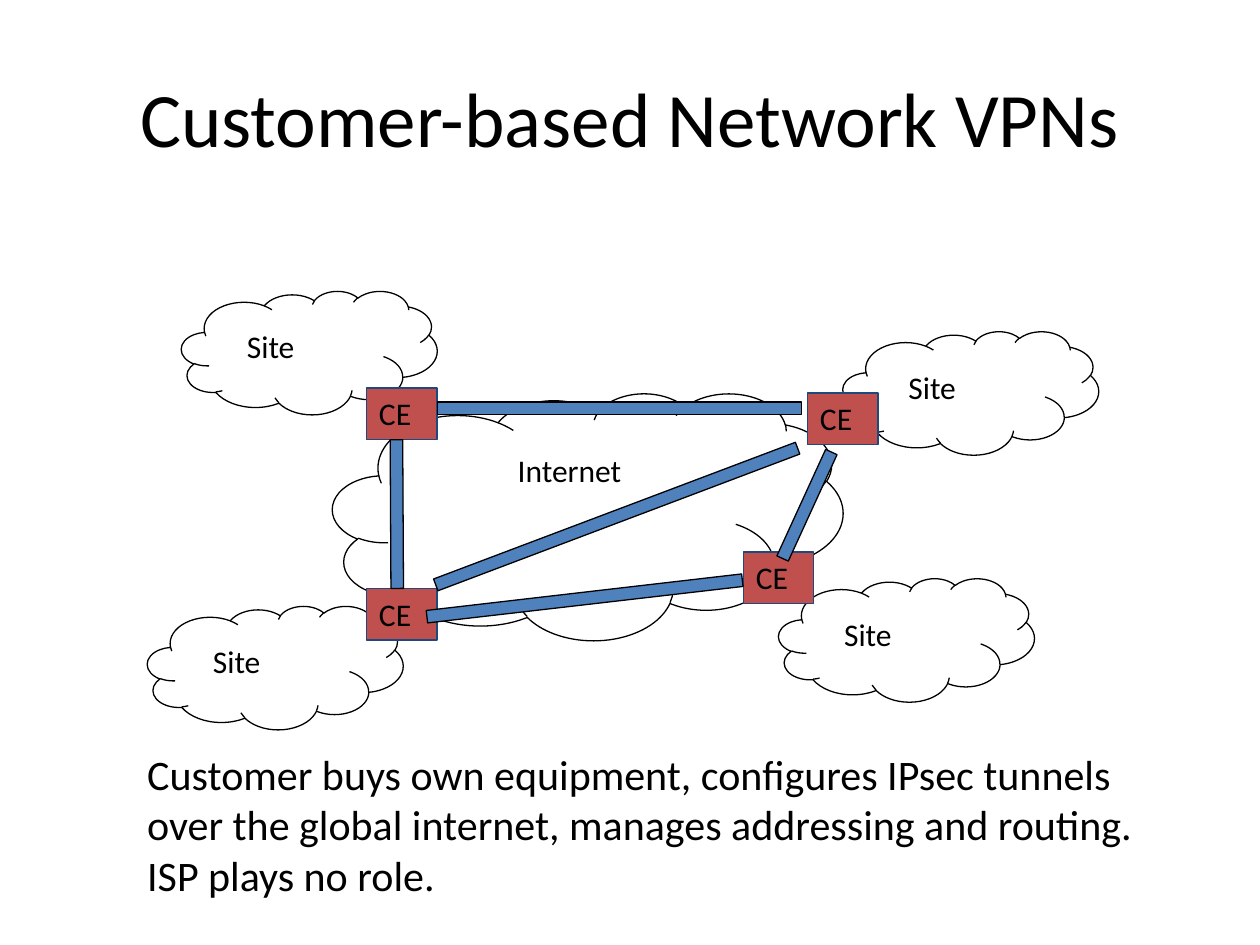
from pptx import Presentation
from pptx.dml.color import RGBColor
from pptx.enum.shapes import MSO_SHAPE
from pptx.enum.text import MSO_ANCHOR, PP_ALIGN
from pptx.util import Inches, Pt

BLACK = RGBColor(0x00, 0x00, 0x00)
RED = RGBColor(0xC0, 0x50, 0x4D)
NAVY = RGBColor(0x1F, 0x49, 0x7D)
BLUE = RGBColor(0x4F, 0x81, 0xBD)


class NetworkSlide:
    """Draws the parts of a network diagram in one style."""

    font = "Calibri"
    label_size = 18
    line_width = 0.75

    def __init__(self, prs):
        self.slide = prs.slides.add_slide(prs.slide_layouts[5])

    def set_text(self, shape, text, size, align=PP_ALIGN.LEFT,
                 anchor=MSO_ANCHOR.TOP, wrap=True, left=0.1, top=0.05):
        frame = shape.text_frame
        frame.word_wrap = wrap
        frame.vertical_anchor = anchor
        frame.margin_left, frame.margin_top = Inches(left), Inches(top)
        paragraph = frame.paragraphs[0]
        paragraph.alignment = align
        run = paragraph.add_run()
        run.text = text
        run.font.name, run.font.size = self.font, Pt(size)
        run.font.color.rgb = BLACK

    def title(self, text, x, y, w, h):
        shape = self.slide.shapes.title
        shape.left, shape.top = Inches(x), Inches(y)
        shape.width, shape.height = Inches(w), Inches(h)
        self.set_text(shape, text, 44, PP_ALIGN.CENTER, MSO_ANCHOR.MIDDLE)

    def text(self, text, x, y, w, h, size, wrap=True):
        box = self.slide.shapes.add_textbox(
            Inches(x), Inches(y), Inches(w), Inches(h))
        self.set_text(box, text, size, wrap=wrap)

    def shape(self, kind, x, y, w, h, fill=None, line=BLACK):
        shape = self.slide.shapes.add_shape(
            kind, Inches(x), Inches(y), Inches(w), Inches(h))
        shape.shadow.inherit = False
        if fill is None:
            shape.fill.background()
        else:
            shape.fill.solid()
            shape.fill.fore_color.rgb = fill
        shape.line.color.rgb = line
        shape.line.width = Pt(self.line_width)
        return shape

    def cloud(self, x, y, w, h):
        return self.shape(MSO_SHAPE.CLOUD, x, y, w, h)

    def site(self, x, y):
        cloud = self.cloud(x, y, 2.03, 0.98)
        self.set_text(cloud, "Site", self.label_size, left=0.24, top=0.14)

    def customer_edge(self, x, y):
        box = self.shape(MSO_SHAPE.RECTANGLE, x, y, 0.56, 0.41, RED, NAVY)
        self.set_text(box, "CE", self.label_size, wrap=False)

    def tunnel(self, x, y, length, rotation):
        bar = self.shape(MSO_SHAPE.RECTANGLE, x, y, length, 0.1, BLUE)
        bar.rotation = rotation


prs = Presentation()
prs.slide_width, prs.slide_height = Inches(10), Inches(7.5)
vpn = NetworkSlide(prs)

vpn.title("Customer-based Network VPNs", 0.5, 0.3, 9, 1.25)
vpn.site(6.69, 2.63)
vpn.cloud(2.64, 3.12, 4.05, 1.96)
vpn.customer_edge(6.41, 3.12)
for x, y in [(1.44, 2.31), (6.18, 4.59), (1.17, 4.81)]:
    vpn.site(x, y)
for x, y in [(2.91, 3.08), (2.91, 4.67), (5.9, 4.38)]:
    vpn.customer_edge(x, y)
vpn.text("Internet", 4.01, 3.53, 1.05, 0.4, vpn.label_size, wrap=False)
for x, y, length, rotation in [
    (3.38, 4.7, 2.52, 353.4),
    (3.47, 3.19, 2.89, 0),
    (5.94, 3.96, 0.93, 294.6),
    (2.56, 4.03, 1.18, 269.7),
    (3.36, 4.05, 3.07, 339.3),
]:
    vpn.tunnel(x, y, length, rotation)
vpn.text("Customer buys own equipment, configures IPsec tunnels over the global "
         "internet, manages addressing and routing. ISP plays no role.",
         1.07, 5.89, 8.27, 1.3, 24)

prs.save("out.pptx")
